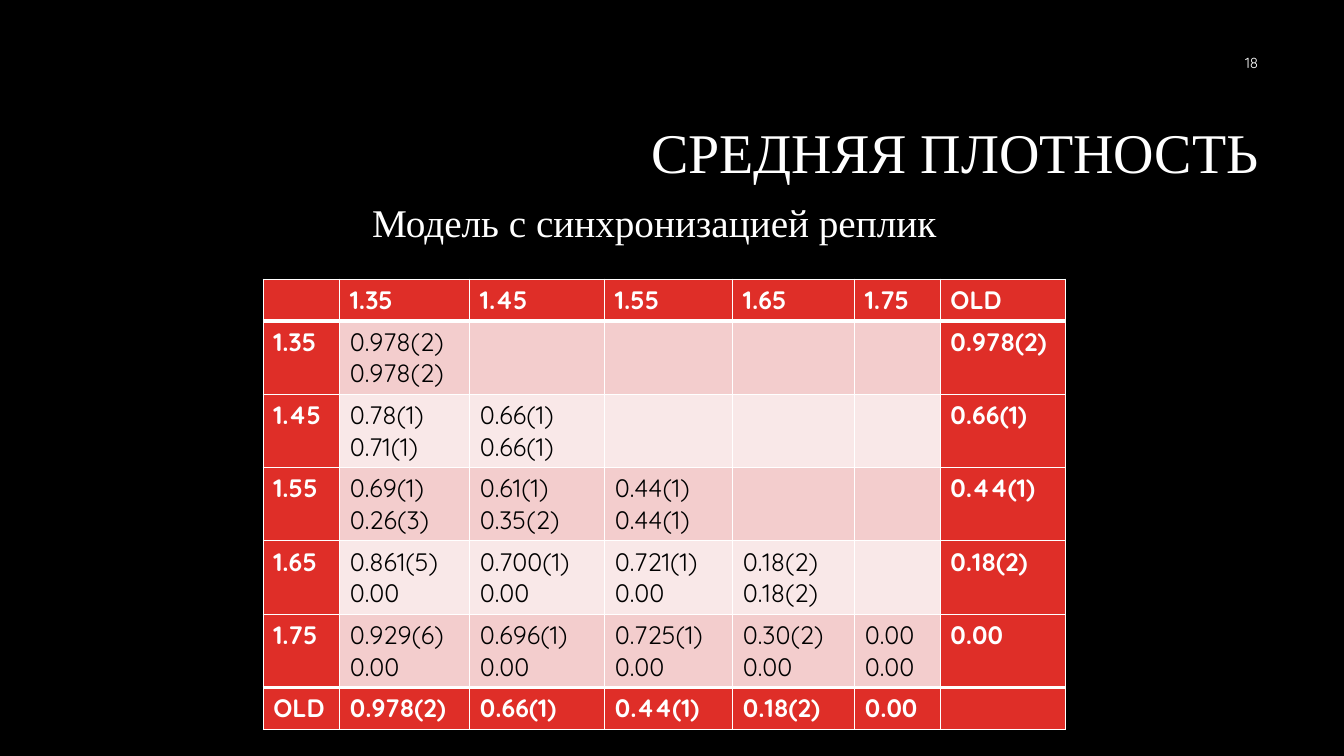
import pptx
import pptx.util
import pptx.dml.color
import pptx.enum.text
import pptx.oxml

Pt = pptx.util.Pt
ALIGN = pptx.enum.text.PP_ALIGN
MIDDLE = pptx.enum.text.MSO_ANCHOR.MIDDLE
COLORS = {"black": "000000", "white": "FFFFFF", "red": "DF2E28", "band": "F3CDCD", "pale": "F9E8E8"}


def write_text(text_frame, text, color, alignment, **font_format):
    text_frame.text = text
    for paragraph in text_frame.paragraphs:
        paragraph.alignment = alignment
        for name, value in font_format.items():
            setattr(paragraph.font, name, value)
        paragraph.font.color.rgb = pptx.dml.color.RGBColor.from_string(COLORS[color])


def paint(fill, color):
    fill.solid()
    fill.fore_color.rgb = pptx.dml.color.RGBColor.from_string(COLORS[color])


presentation = pptx.Presentation()
presentation.slide_width = Pt(960)
presentation.slide_height = Pt(540)
slide = presentation.slides.add_slide(presentation.slide_layouts[5])
paint(slide.background.fill, "black")

title = slide.shapes.title
title_format = {"left": Pt(228.2), "top": Pt(60.5), "width": Pt(678.2), "height": Pt(101.5)}
for name, value in title_format.items():
    setattr(title, name, value)
write_text(title.text_frame, "СРЕДНЯЯ ПЛОТНОСТЬ", "white", ALIGN.RIGHT, name="Times New Roman", size=Pt(40))
title.text_frame.vertical_anchor = MIDDLE
title.text_frame.paragraphs[0].line_spacing = 0.9

densities = ["0.978(2)", "0.66(1)", "0.44(1)", "0.18(2)", "0.00"]
levels = ["1.35", "1.45", "1.55", "1.65", "1.75"]
pairs = [
    ["0.978(2)\n0.978(2)"],
    ["0.78(1)\n0.71(1)", "0.66(1)\n0.66(1)"],
    ["0.69(1)\n0.26(3)", "0.61(1)\n0.35(2)", "0.44(1)\n0.44(1)"],
    ["0.861(5)\n0.00", "0.700(1)\n0.00", "0.721(1)\n0.00", "0.18(2)\n0.18(2)"],
    ["0.929(6)\n0.00", "0.696(1)\n0.00", "0.725(1)\n0.00", "0.30(2)\n0.00", "0.00\n0.00"],
]
rows = [["", *levels, "OLD"]]
for level, values, density in zip(levels, pairs, densities):
    rows.append([level, *values, *[""] * (len(levels) - len(values)), density])
rows.append(["OLD", *densities, ""])

column_widths = [54.7, 92.9, 96.5, 91.4, 87.1, 61.2, 89.3]
row_heights = [29.5] + [52.4] * len(levels) + [29.5]
last_row, last_column = len(rows) - 1, len(column_widths) - 1
table = slide.shapes.add_table(
    len(rows), len(column_widths), Pt(188), Pt(199.4), Pt(sum(column_widths)), Pt(sum(row_heights))
).table
table.first_row = table.horz_banding = False
for column, width in zip(table.columns, column_widths):
    column.width = Pt(width)
for row, height in zip(table.rows, row_heights):
    row.height = Pt(height)

for row_index, row_values in enumerate(rows):
    for column_index, text in enumerate(row_values):
        cell = table.cell(row_index, column_index)
        is_header = row_index in (0, last_row) or column_index in (0, last_column)
        write_text(cell.text_frame, text, "white" if is_header else "black", ALIGN.LEFT,
                   name="Quicksand", size=Pt(18), bold=is_header)
        paint(cell.fill, "red" if is_header else "band" if row_index % 2 else "pale")
        border_widths = {
            "lnL": 1,
            "lnR": 1,
            "lnT": 3 if row_index in (1, last_row) else 1,
            "lnB": 3 if row_index in (0, last_row - 1) else 1,
        }
        properties = cell._tc.get_or_add_tcPr()
        for position, (side, width) in enumerate(border_widths.items()):
            properties.insert(position, pptx.oxml.parse_xml(
                f'<a:{side} xmlns:a="http://schemas.openxmlformats.org/drawingml/2006/main" w="{Pt(width)}">'
                f'<a:solidFill><a:srgbClr val="{COLORS["white"]}"/></a:solidFill></a:{side}>'))

page_number = slide.shapes.add_textbox(Pt(689.8), Pt(30.2), Pt(216), Pt(28.8))
write_text(page_number.text_frame, "18", "white", ALIGN.RIGHT, name="Quicksand", size=Pt(10.5))
page_number.text_frame.vertical_anchor = MIDDLE
page_number.text_frame.word_wrap = True

subtitle = slide.shapes.add_textbox(Pt(256.3), Pt(138.2), Pt(421.9), Pt(41))
write_text(subtitle.text_frame, "Модель с синхронизацией реплик", "white", ALIGN.CENTER,
           name="Times New Roman", size=Pt(28))
subtitle.text_frame.word_wrap = False
subtitle.text_frame.auto_size = pptx.enum.text.MSO_AUTO_SIZE.SHAPE_TO_FIT_TEXT

presentation.save("out.pptx")
